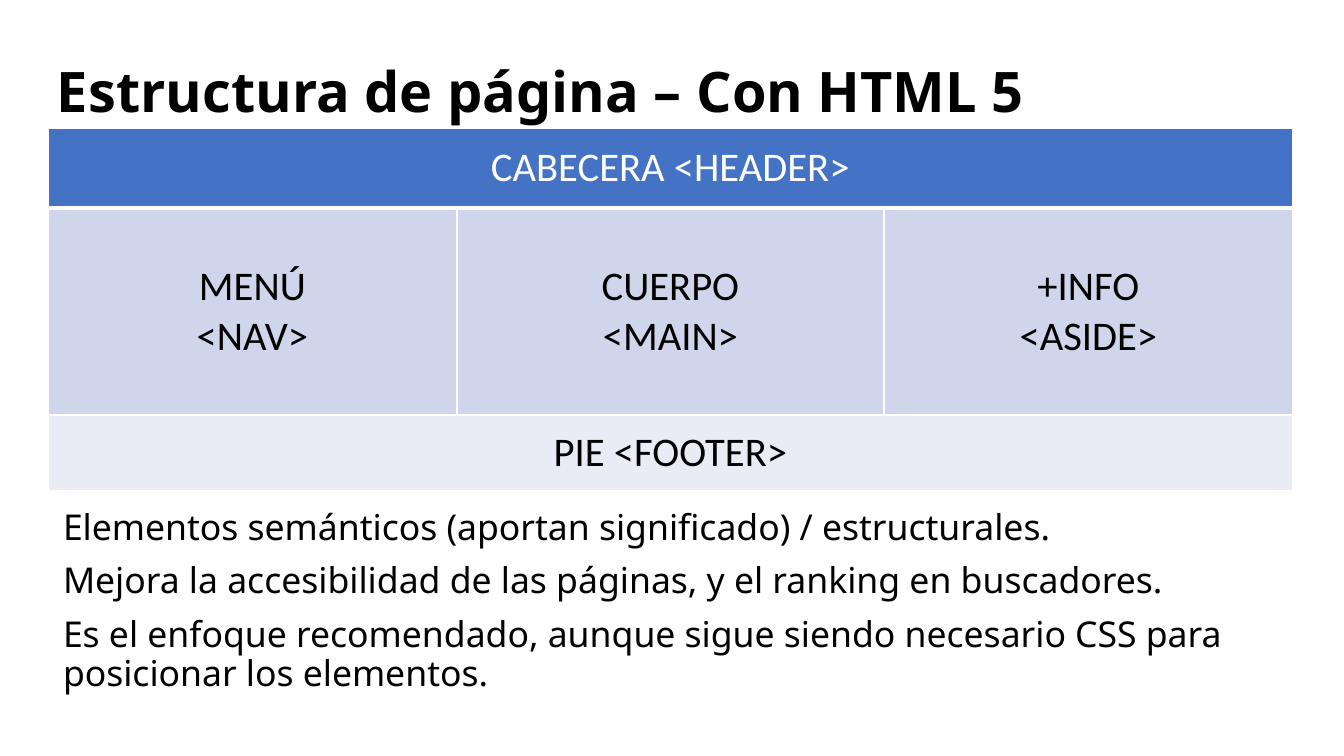
import pptx
import pptx.util
import pptx.dml.color
import pptx.enum.text
import pptx.oxml
import pptx.oxml.ns

# Content
TITLE = "Estructura de página – Con HTML 5"
ROWS = [
    ["CABECERA <HEADER>"],
    ["MENÚ\n<NAV>", "CUERPO\n<MAIN>", "+INFO\n<ASIDE>"],
    ["PIE <FOOTER>"],
]
NOTES = [
    "Elementos semánticos (aportan significado) / estructurales.",
    "Mejora la accesibilidad de las páginas, y el ranking en buscadores.",
    "Es el enfoque recomendado, aunque sigue siendo necesario CSS para posicionar los elementos.",
]

# Layout in px
SLIDE = (1344, 756)
TITLE_BOX = (48, 59, 1253, 70)
NOTES_BOX = (54, 505, 1247, 212)
TABLE_AT = (48, 128)
COL_WIDTHS = [409, 427, 409]
ROW_HEIGHTS = [80, 207, 76]

THEME = {
    "text_font": "Noto Sans", "table_font": "Calibri",
    "title_size": 44, "notes_size": 28, "table_size": 32,
    "text": "000000", "border": "FFFFFF",
    "row_fills": ["4472C4", "CFD5EA", "E9EBF5"],
    "row_texts": ["FFFFFF", "000000", "000000"],
}
MIDDLE = pptx.enum.text.MSO_ANCHOR.MIDDLE


def px(n):
    return pptx.util.Emu(n * 10000)


def rgb(value):
    return pptx.dml.color.RGBColor.from_string(value)


def format_runs(p, font, size, color, bold=False):
    for r in p.runs:
        r.font.name = font
        r.font.size = pptx.util.Pt(size)
        r.font.color.rgb = rgb(color)
        r.font.bold = bold


def add_text(slide, box, lines, size, bold=False, space=0):
    sp = slide.shapes.add_textbox(*map(px, box))
    tf = sp.text_frame
    tf.word_wrap = True
    tf.text = "\n".join(lines)
    for p in tf.paragraphs:
        p.line_spacing = 0.9
        p.space_before = p.space_after = pptx.util.Pt(space)
        format_runs(p, THEME["text_font"], size, THEME["text"], bold)
    return tf


def set_borders(cell, widths):
    tc_pr = cell._tc.get_or_add_tcPr()
    for i, (side, width) in enumerate(widths.items()):
        ln = pptx.oxml.parse_xml(
            f'<a:{side} {pptx.oxml.ns.nsdecls("a")} w="{pptx.util.Pt(width)}">'
            f'<a:solidFill><a:srgbClr val="{THEME["border"]}"/></a:solidFill></a:{side}>')
        tc_pr.insert(i, ln)


def add_page_table(slide):
    size = (sum(COL_WIDTHS), sum(ROW_HEIGHTS))
    frame = slide.shapes.add_table(len(ROWS), len(COL_WIDTHS), *map(px, TABLE_AT + size))
    table = frame.table
    for col, width in zip(table.columns, COL_WIDTHS):
        col.width = px(width)
    for i, texts in enumerate(ROWS):
        table.rows[i].height = px(ROW_HEIGHTS[i])
        # A single text spans the whole row
        if len(texts) == 1:
            table.cell(i, 0).merge(table.cell(i, len(COL_WIDTHS) - 1))
        for j in range(len(COL_WIDTHS)):
            cell = table.cell(i, j)
            cell.fill.solid()
            cell.fill.fore_color.rgb = rgb(THEME["row_fills"][i])
            # Thick rule between the header and the middle row
            set_borders(cell, {"lnL": 1, "lnR": 1, "lnT": 3 if i == 1 else 1,
                               "lnB": 3 if i == 0 else 1})
        for j, text in enumerate(texts):
            cell = table.cell(i, j)
            cell.vertical_anchor = MIDDLE
            p = cell.text_frame.paragraphs[0]
            p.text = text
            p.alignment = pptx.enum.text.PP_ALIGN.CENTER
            format_runs(p, THEME["table_font"], THEME["table_size"], THEME["row_texts"][i])


def main():
    prs = pptx.Presentation()
    prs.slide_width, prs.slide_height = map(px, SLIDE)
    slide = prs.slides.add_slide(prs.slide_layouts[6])

    # Title, explanation and page diagram
    tf = add_text(slide, TITLE_BOX, [TITLE], THEME["title_size"], bold=True)
    tf.vertical_anchor = MIDDLE
    add_text(slide, NOTES_BOX, NOTES, THEME["notes_size"], space=6)
    add_page_table(slide)

    prs.save("out.pptx")


if __name__ == "__main__":
    main()
